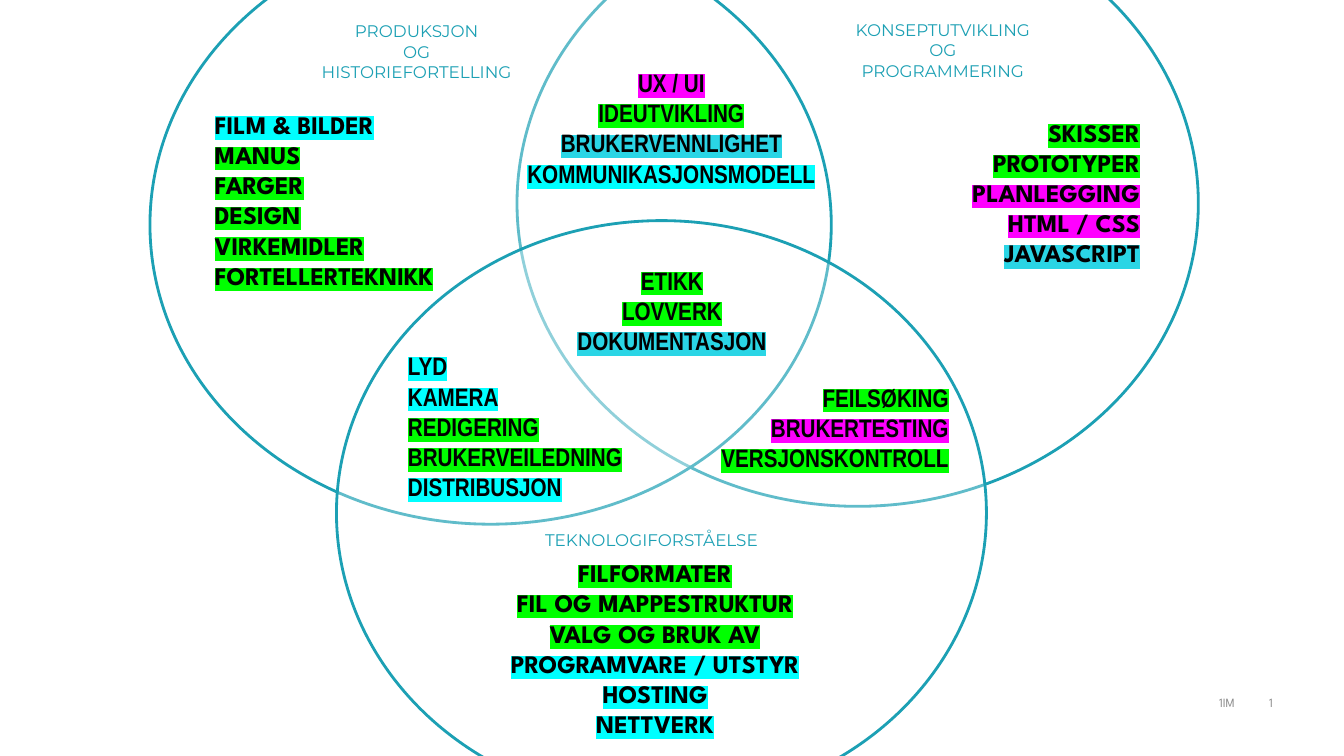
"""Build a Venn diagram slide of three overlapping media subjects and their topics."""
from lxml.etree import Element, SubElement
from pptx import Presentation
from pptx.dml.color import RGBColor
from pptx.enum.shapes import MSO_SHAPE
from pptx.enum.text import MSO_ANCHOR, PP_ALIGN
from pptx.oxml.ns import qn
from pptx.util import Cm, Pt

COLORS = {
    "white": "FFFFFF", "teal": "1CA0B4", "black": "000000", "gray": "8C8C8C",
    "cyan": "00FFFF", "green": "00FF00", "magenta": "FF00FF", "blue": "2AD5E5",
}
LEFT, CENTER, RIGHT = PP_ALIGN.LEFT, PP_ALIGN.CENTER, PP_ALIGN.RIGHT
SUBJECT_FONT, OVERLAP_FONT, HEADING_FONT = "League Spartan", "Arial Narrow", "Montserrat"
CIRCLE_OPACITY = 30

CIRCLES = [
    (13.03, -2.51, 17.17, 15.27),
    (3.78, -1.88, 17.17, 15.09),
    (8.48, 5.56, 16.38, 14.73),
]
TOPICS = [
    ((5.16, 2.62, 8.94, 4.88), SUBJECT_FONT, LEFT, [
        [("FILM & BILDER", "cyan")], [("MANUS", "green")], [("FARGER", "green")],
        [("DESIGN", "green")], [("VIRKEMIDLER", "green")], [("FORTELLERTEKNIKK", "green")]]),
    ((20.04, 2.82, 8.94, 4.88), SUBJECT_FONT, RIGHT, [
        [("SKISSER", "green")], [("PROTOTYPER", "green")], [("PLANLEGGING", "magenta")],
        [("HTML / CSS", "magenta")], [("JAVASCRIPT", "blue")]]),
    ((12.04, 13.92, 8.94, 4.88), SUBJECT_FONT, CENTER, [
        [("FILFORMATER", "green")], [("FIL OG MAPPESTRUKTUR", "green")],
        [("VALG OG BRUK AV ", "green"), ("PROGRAMVARE / UTSTYR", "cyan")],
        [("HOSTING", "cyan")], [("NETTVERK", "cyan")]]),
    ((13.94, 6.55, 5.99, 2.57), OVERLAP_FONT, CENTER, [
        [("ETIKK", "green")], [("LOVVERK", "green")], [("DOKUMENTASJON", "blue")]]),
    ((10.03, 8.71, 5.99, 4.11), OVERLAP_FONT, LEFT, [
        [("LYD", "cyan")], [("KAMERA", "cyan")], [("REDIGERING", "green")],
        [("BRUKERVEILEDNING", "green")], [("DISTRIBUSJON", "cyan")]]),
    ((17.86, 9.5, 6.3, 2.57), OVERLAP_FONT, RIGHT, [
        [("FEILSØKING", "green")], [("BRUKERTESTING", "magenta")],
        [("VERSJONSKONTROLL", "green")]]),
    ((12.83, 1.57, 8.18, 3.33), OVERLAP_FONT, CENTER, [
        [("UX / UI", "magenta")], [("IDEUTVIKLING", "green")],
        [("BRUKERVENNLIGHET", "blue")], [("KOMMUNIKASJONSMODELL", "cyan")]]),
]
HEADINGS = [
    ((7.06, 0.41, 6.88, 1.8), ["PRODUKSJON", "OG", "HISTORIEFORTELLING"]),
    ((20.32, 0.38, 6.88, 1.8), ["KONSEPTUTVIKLING", "OG", "PROGRAMMERING"]),
    ((12.98, 13.23, 6.88, 0.76), ["TEKNOLOGIFORSTÅELSE"]),
]
FOOTERS = [
    ((11.58, 16.36, 19.79, 2.69), RIGHT, "1IM"),
    ((31.37, 16.36, 1.32, 2.69), CENTER, "1"),
]


def rgb(name):
    return RGBColor.from_string(COLORS[name])


def add_circle(slide, box):
    circle = slide.shapes.add_shape(MSO_SHAPE.OVAL, *map(Cm, box))
    circle.shadow.inherit = False
    circle.fill.solid()
    circle.fill.fore_color.rgb = rgb("white")
    white = circle.fill._xPr.find(qn("a:solidFill"))[0]
    SubElement(white, qn("a:alpha"), val=str(CIRCLE_OPACITY * 1000))
    circle.line.color.rgb = rgb("teal")
    circle.line.width = Pt(2)


def highlight_run(run, name):
    highlight = Element(qn("a:highlight"))
    SubElement(highlight, qn("a:srgbClr"), val=COLORS[name])
    run.font._element.find(qn("a:solidFill")).addnext(highlight)


def add_text(slide, box, lines, font, size, color, align, bold=False, anchor=MSO_ANCHOR.TOP):
    text_frame = slide.shapes.add_textbox(*map(Cm, box)).text_frame
    text_frame.word_wrap = True
    text_frame.vertical_anchor = anchor
    for index, line in enumerate(lines):
        paragraph = text_frame.add_paragraph() if index else text_frame.paragraphs[0]
        paragraph.alignment = align
        for text, highlight in line:
            run = paragraph.add_run()
            run.text = text
            run.font.name = font
            run.font.size = Pt(size)
            run.font.bold = bold
            run.font.color.rgb = rgb(color)
            if highlight:
                highlight_run(run, highlight)


def main():
    presentation = Presentation()
    presentation.slide_width, presentation.slide_height = Cm(33.87), Cm(19.05)
    slide = presentation.slides.add_slide(presentation.slide_layouts[6])
    for box, align, text in FOOTERS:
        add_text(slide, box, [[(text, None)]], SUBJECT_FONT, 9, "gray", align,
                 anchor=MSO_ANCHOR.MIDDLE)
    for box in CIRCLES:
        add_circle(slide, box)
    for box, font, align, lines in TOPICS:
        add_text(slide, box, lines, font, 18, "black", align, bold=True)
    for box, words in HEADINGS:
        add_text(slide, box, [[(word, None)] for word in words], HEADING_FONT, 12, "teal", CENTER)
    presentation.save("out.pptx")


if __name__ == "__main__":
    main()
